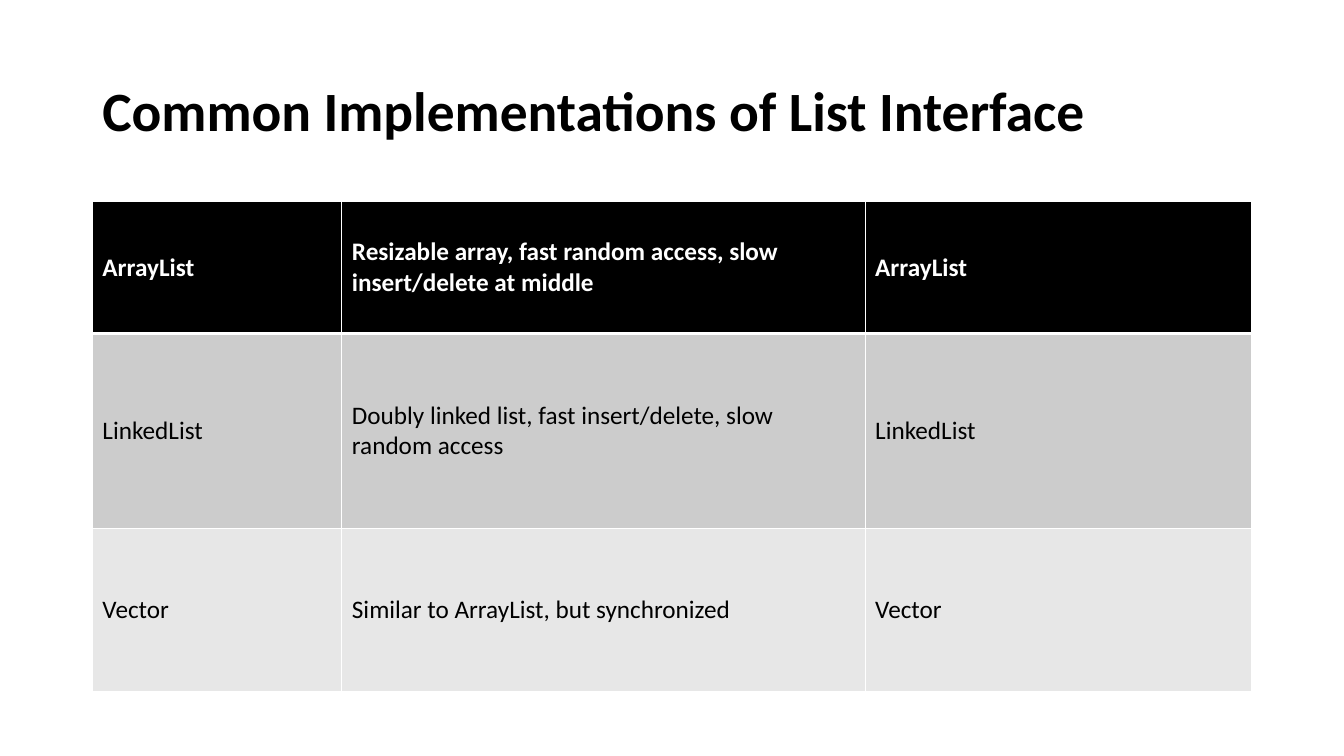
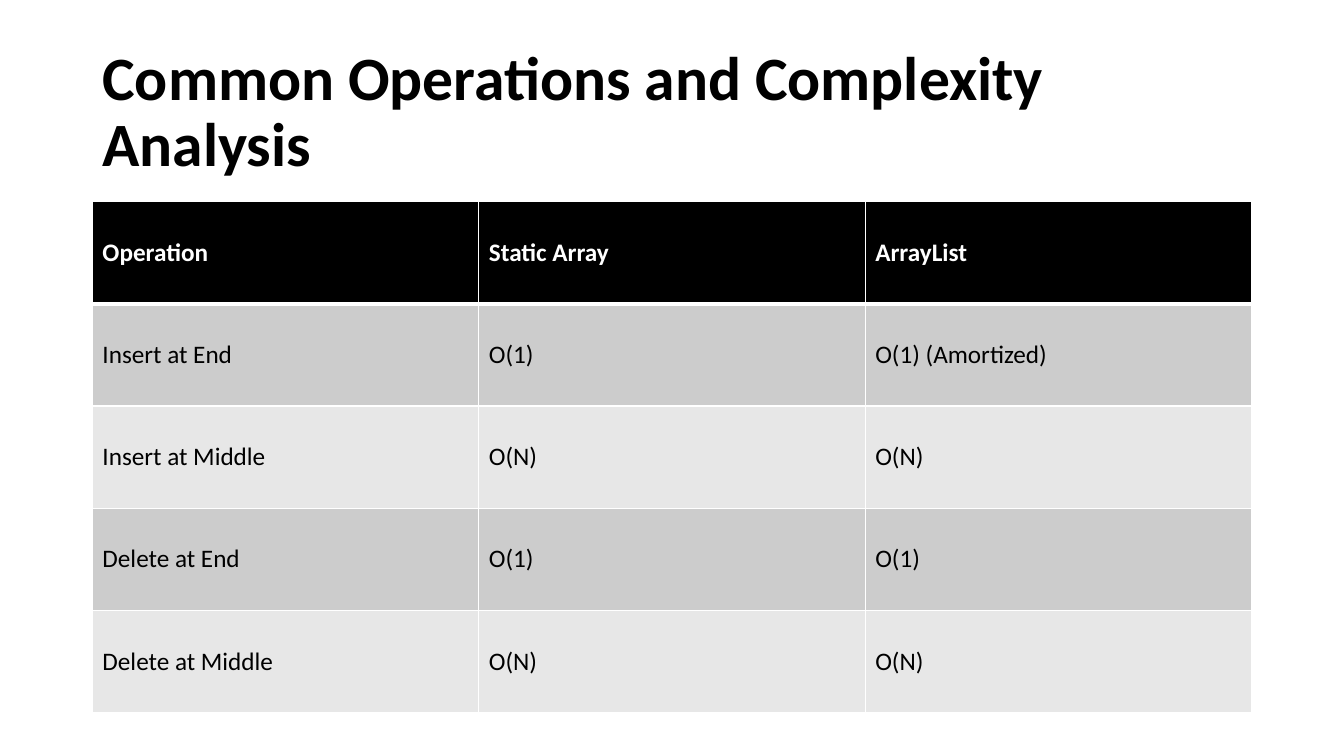
from lxml import etree
from pptx import Presentation
from pptx.dml.color import RGBColor
from pptx.enum.text import MSO_ANCHOR
from pptx.oxml.ns import qn
from pptx.util import Inches, Pt

MIDDLE = MSO_ANCHOR.MIDDLE
COLS, ROWS = 160, 90
LEFT, WIDTH = 11, 138
TABLE_TOP = 24
TITLE_BOX = (LEFT, 4.8, WIDTH, 17.4)
COLORS = {"ink": "000000", "paper": "FFFFFF", "dark": "CCCCCC", "light": "E7E7E7"}
FORMATS = {
    "title": {"name": "Calibri", "size": Pt(44), "bold": True},
    "head": {"name": "Calibri", "size": Pt(18), "bold": True},
    "body": {"name": "Calibri", "size": Pt(18), "bold": False},
}

IMPLEMENTATIONS = [
    ["ArrayList", "Resizable array, fast random access, slow insert/delete at middle", "ArrayList"],
    ["LinkedList", "Doubly linked list, fast insert/delete, slow random access", "LinkedList"],
    ["Vector", "Similar to ArrayList, but synchronized", "Vector"],
]
OPERATIONS = [
    ["Operation", "Static Array", "ArrayList"],
    ["Insert at End", "O(1)", "O(1) (Amortized)"],
    ["Insert at Middle", "O(N)", "O(N)"],
    ["Delete at End", "O(1)", "O(1)"],
    ["Delete at Middle", "O(N)", "O(N)"],
]


class Deck:
    """Holds the shared style and the slide being built."""

    def __init__(self):
        self.prs = Presentation()
        self.prs.slide_width, self.prs.slide_height = Inches(13.33), Inches(7.5)
        self.s = None

    def x(self, cols):
        return round(self.prs.slide_width * cols / COLS)

    def y(self, rows):
        return round(self.prs.slide_height * rows / ROWS)

    def box(self, left, top, width, height):
        return self.x(left), self.y(top), self.x(width), self.y(height)

    def slide(self):
        self.s = self.prs.slides.add_slide(self.prs.slide_layouts[6])

    def text(self, tf, words, style, color, **changes):
        p = tf.paragraphs[0]
        r = p.add_run()
        r.text = words
        for key, value in {**FORMATS[style], **changes}.items():
            setattr(r.font, key, value)
        r.font.color.rgb = RGBColor.from_string(COLORS[color])
        return p

    def title(self, words, **changes):
        tf = self.s.shapes.add_textbox(*self.box(*TITLE_BOX)).text_frame
        tf.word_wrap = True
        tf.vertical_anchor = MIDDLE
        self.text(tf, words, "title", "ink", **changes).line_spacing = 0.9

    def borders(self, cell, widths):
        tc_pr = cell._tc.get_or_add_tcPr()
        for side, width in widths.items():
            ln = etree.SubElement(tc_pr, qn(f"a:ln{side}"), w=str(Pt(width)))
            fill = etree.SubElement(ln, qn("a:solidFill"))
            etree.SubElement(fill, qn("a:srgbClr"), val=COLORS["paper"])

    def table(self, data, widths, heights):
        area = self.box(LEFT, TABLE_TOP, sum(widths), sum(heights))
        table = self.s.shapes.add_table(len(data), len(widths), *area).table
        for column, width in zip(table.columns, widths):
            column.width = self.x(width)
        for i, (row, height, texts) in enumerate(zip(table.rows, heights, data)):
            row.height = self.y(height)
            style, color = ("body", "ink") if i else ("head", "paper")
            fill = ("light", "dark")[i % 2] if i else "ink"
            sides = {"L": 1, "R": 1, "T": 3 if i == 1 else 1, "B": 1 if i else 3}
            for cell, words in zip(row.cells, texts):
                self.borders(cell, sides)
                cell.fill.solid()
                cell.fill.fore_color.rgb = RGBColor.from_string(COLORS[fill])
                cell.vertical_anchor = MIDDLE
                self.text(cell.text_frame, words, style, color)


def main():
    deck = Deck()
    deck.slide()
    deck.title("Common Implementations of List Interface", size=Pt(39.6))
    deck.table(IMPLEMENTATIONS, [29.7, 62.3, 46], [15.7, 23.2, 19.4])

    deck.slide()
    deck.title("Common Operations and Complexity Analysis")
    deck.table(OPERATIONS, [WIDTH / 3] * 3, [12.17] * len(OPERATIONS))
    deck.prs.save("out.pptx")


if __name__ == "__main__":
    main()
